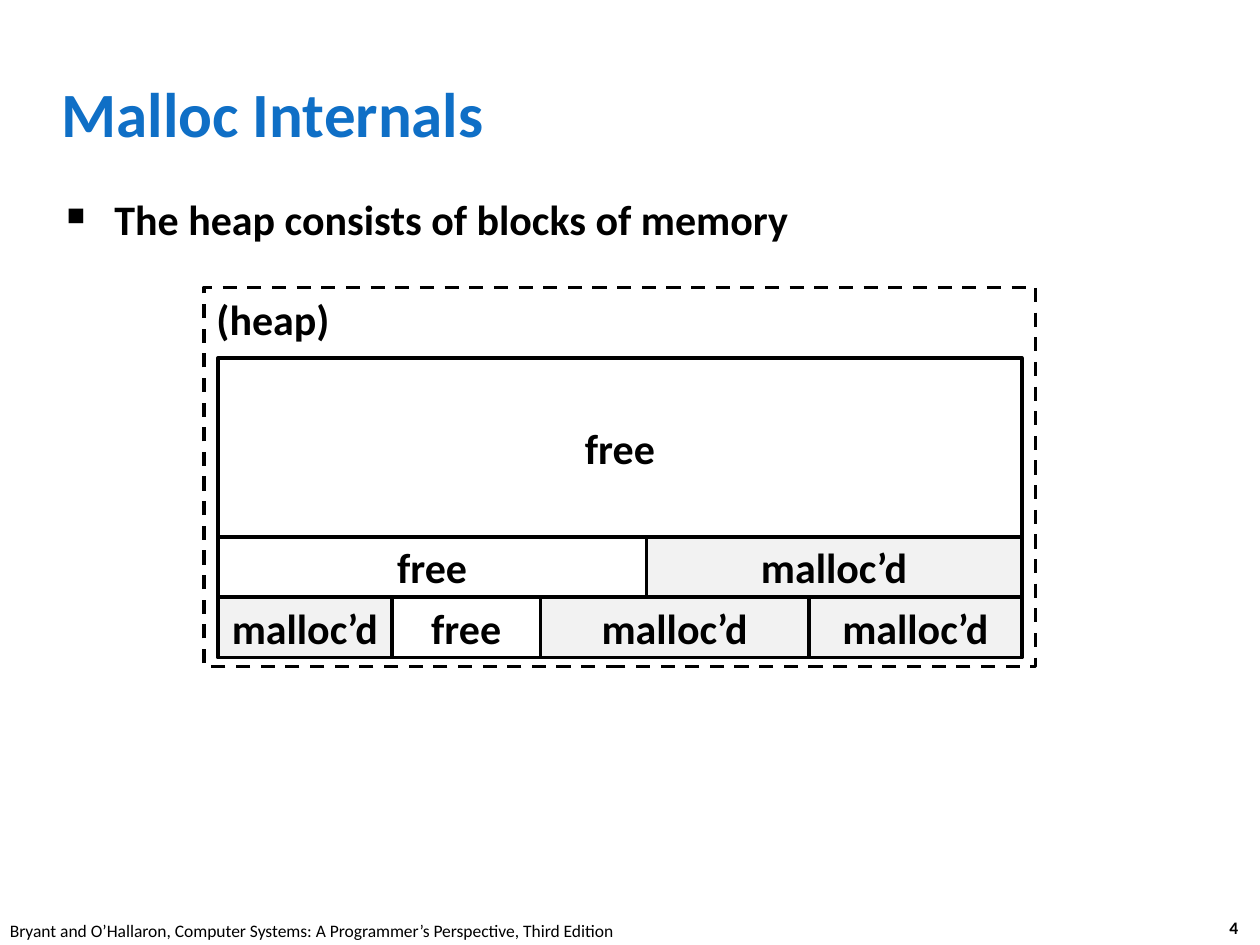
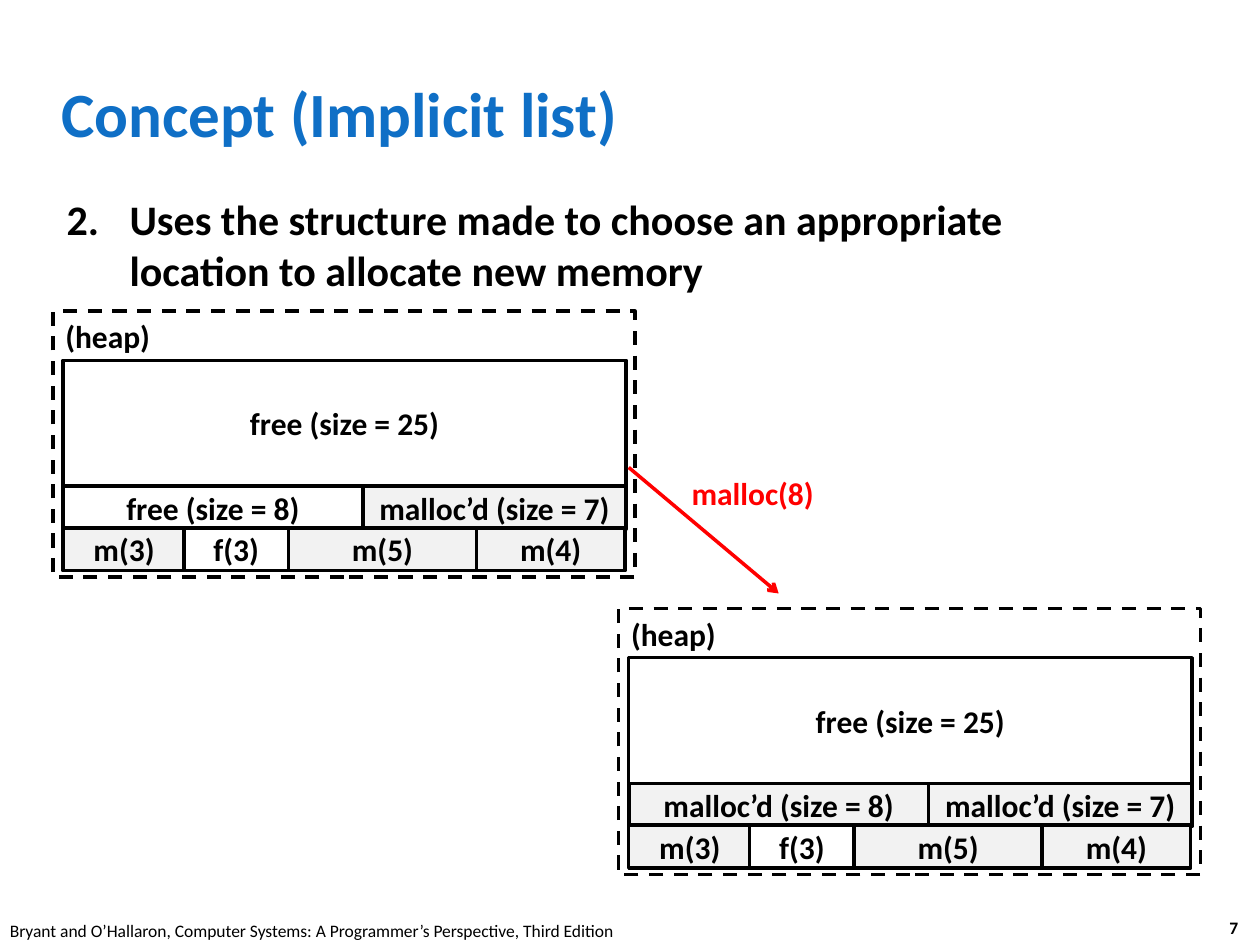
from lxml import etree
from pptx import Presentation
from pptx.dml.color import RGBColor
from pptx.enum.dml import MSO_LINE
from pptx.enum.shapes import MSO_CONNECTOR, MSO_SHAPE
from pptx.enum.text import MSO_ANCHOR, PP_ALIGN
from pptx.oxml.ns import qn
from pptx.util import Pt

RECT = MSO_SHAPE.RECTANGLE
LINE = MSO_CONNECTOR.STRAIGHT
DASH = MSO_LINE.DASH
TOP, MIDDLE = MSO_ANCHOR.TOP, MSO_ANCHOR.MIDDLE
LEFT, CENTER = PP_ALIGN.LEFT, PP_ALIGN.CENTER

FONT = "Calibri"
BLACK, WHITE, GREY = "000000", "FFFFFF", "F2F2F2"
BLUE, RED = "0F6FC6", "FF0000"
CREDIT = ("Bryant and O’Hallaron, Computer Systems: "
          "A Programmer’s Perspective, Third Edition")

# Full-size heap: frame, then rows of (top, height, block widths) inside it
FRAME = (660, 301)
INSET = 11
ROWS = [(56, 143, [638]),
        (198, 48, [340, 298]),
        (246, 48, [138, 118, 213, 169])]

SIZED = [["free (size = 25)"],
         ["free (size = 8)", "malloc’d (size = 7)"],
         ["m(3)", "f(3)", "m(5)", "m(4)"]]
FILLED = [SIZED[0], ["malloc’d (size = 8)", "malloc’d (size = 7)"], SIZED[2]]
PLAIN = [["free"], ["free", "malloc’d"],
         ["malloc’d", "free", "malloc’d", "malloc’d"]]

# Each heap: left, top, scale, text size, labels
SLIDES = [
    dict(number="4", title="Malloc Internals",
         body="The heap consists of blocks of memory", indent=38,
         bullet=[("buSzPct", {"val": "60000"}), ("buChar", {"char": "■"})],
         heaps=[(162, 228, 1, 24, PLAIN)]),
    dict(number="7", title="Concept (Implicit list)",
         body="Uses the structure made to choose an appropriate "
              "location to allocate new memory", indent=50,
         bullet=[("buAutoNum", {"type": "arabicPeriod", "startAt": "2"})],
         heaps=[(42, 247, 0.7, 18, SIZED), (491, 483, 0.7, 18, FILLED)]),
]


def px(*nums):
    """Turn lengths at 100 px to the inch into EMU."""
    return [round(num) * 9144 for num in nums]


def write(shape, text, size=24, bold=True, color=BLACK, align=LEFT, anchor=TOP):
    frame = shape.text_frame
    frame.word_wrap = True
    frame.vertical_anchor = anchor
    para = frame.paragraphs[0]
    para.alignment = align
    run = para.add_run()
    run.text = text
    run.font.name, run.font.size, run.font.bold = FONT, Pt(size), bold
    run.font.color.rgb = RGBColor.from_string(color)
    return para


deck = Presentation()
deck.slide_width, deck.slide_height = px(1000, 750)

for page in SLIDES:
    slide = deck.slides.add_slide(deck.slide_layouts[6])
    shapes = slide.shapes
    write(shapes.add_textbox(*px(966, 723, 37, 27)), page["number"], size=10)
    write(shapes.add_textbox(*px(-2, 725, 508, 27)), CREDIT, size=10, bold=False)
    write(shapes.add_textbox(*px(39, 48, 830, 83)), page["title"],
          size=36, color=BLUE, anchor=MIDDLE)

    para = write(shapes.add_textbox(*px(43, 149, 864, 544)), page["body"])
    para.space_before = Pt(5)
    props = para._p.get_or_add_pPr()
    hang = px(page["indent"])[0]
    props.set("marL", str(hang))
    props.set("indent", str(-hang))
    for tag, attrs in page["bullet"]:
        etree.SubElement(props, qn("a:" + tag), attrs)

    for left, top, scale, size, labels in page["heaps"]:
        heap = shapes.add_group_shape().shapes
        width, height = FRAME
        # Each part: label, box, fill
        parts = [("(heap)", (left, top, width * scale, height * scale), None)]
        for (down, tall, widths), names in zip(ROWS, labels):
            across = INSET
            for wide, name in zip(widths, names):
                box = (left + across * scale, top + down * scale,
                       wide * scale, tall * scale)
                parts.append((name, box, GREY if name[0] == "m" else WHITE))
                across += wide
        for name, box, fill in parts:
            block = heap.add_shape(RECT, *px(*box))
            block.shadow.inherit = False
            block.line.color.rgb = RGBColor.from_string(BLACK)
            block.line.width = Pt(2)
            if fill:
                block.fill.solid()
                block.fill.fore_color.rgb = RGBColor.from_string(fill)
                write(block, name, size=size, align=CENTER, anchor=MIDDLE)
            else:
                block.fill.background()
                block.line.dash_style = DASH
                write(block, name, size=size)

# The call that leads from the first heap to the second
arrow = shapes.add_connector(LINE, *px(499, 371, 618, 471))
arrow.line.color.rgb = RGBColor.from_string(RED)
arrow.line.width = Pt(2)
etree.SubElement(arrow.line._get_or_add_ln(), qn("a:tailEnd"), type="arrow")
etree.SubElement(arrow._element.spPr, qn("a:effectLst"))
write(shapes.add_textbox(*px(539, 371, 122, 40)), "malloc(8)", size=18, color=RED)

deck.save("out.pptx")
